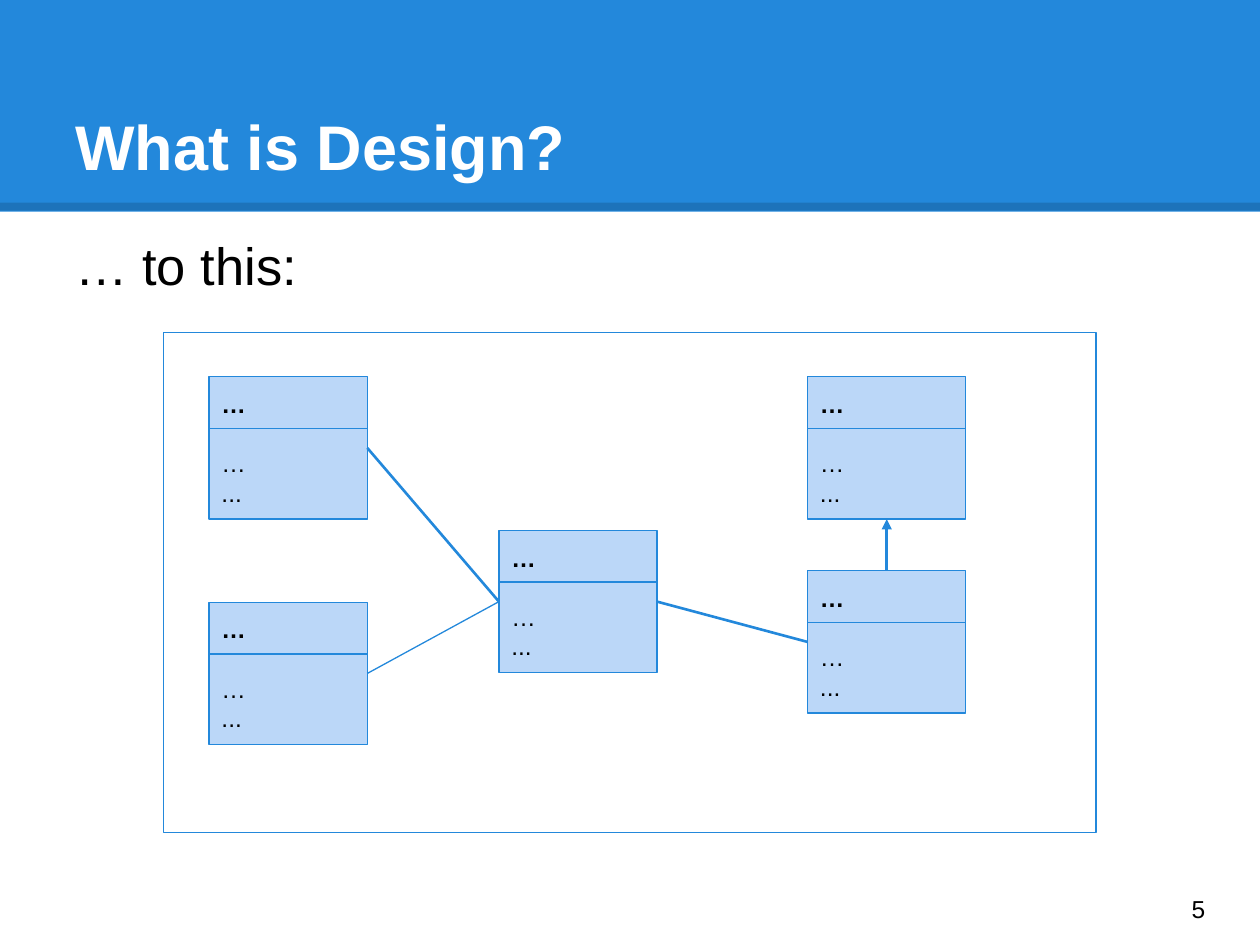
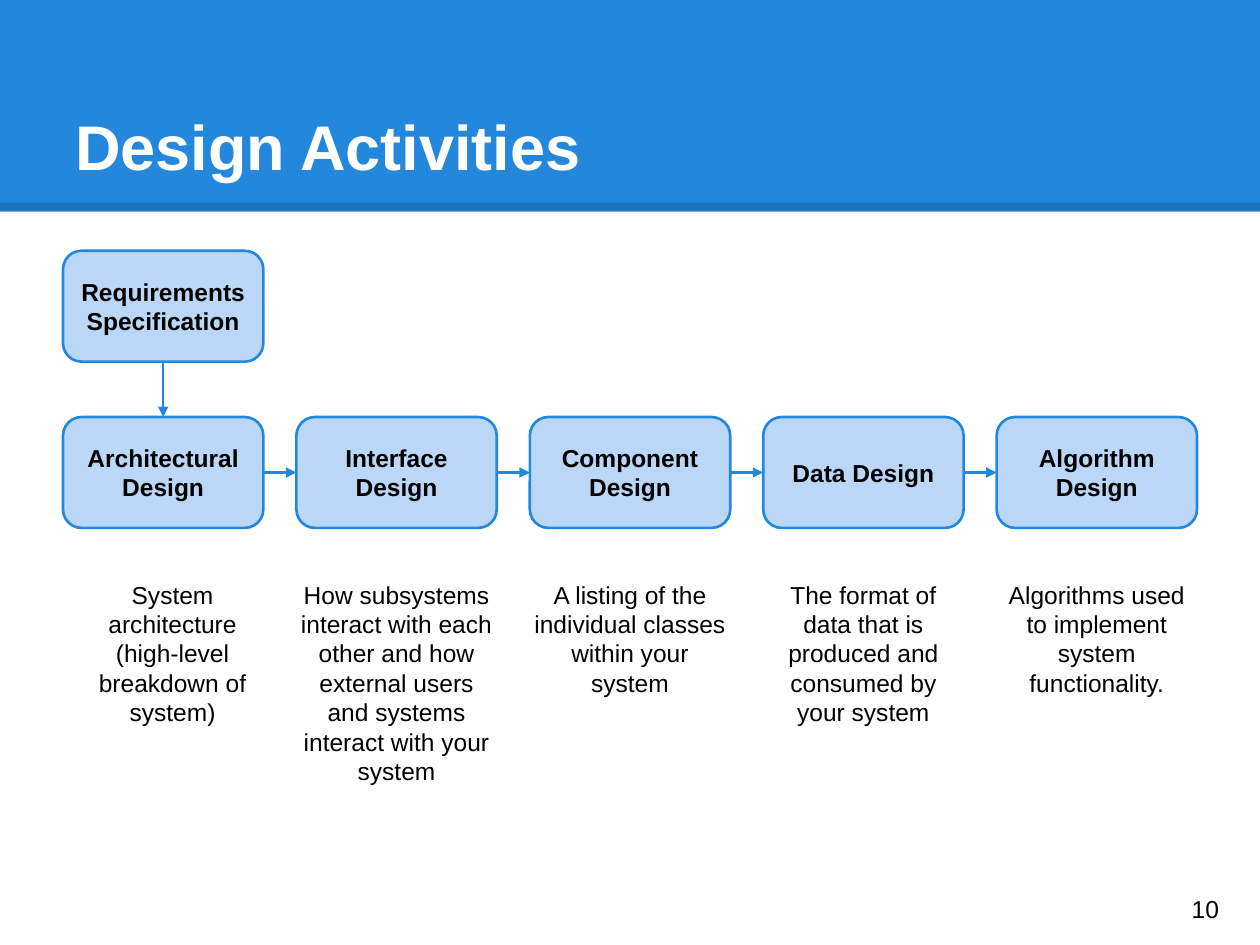
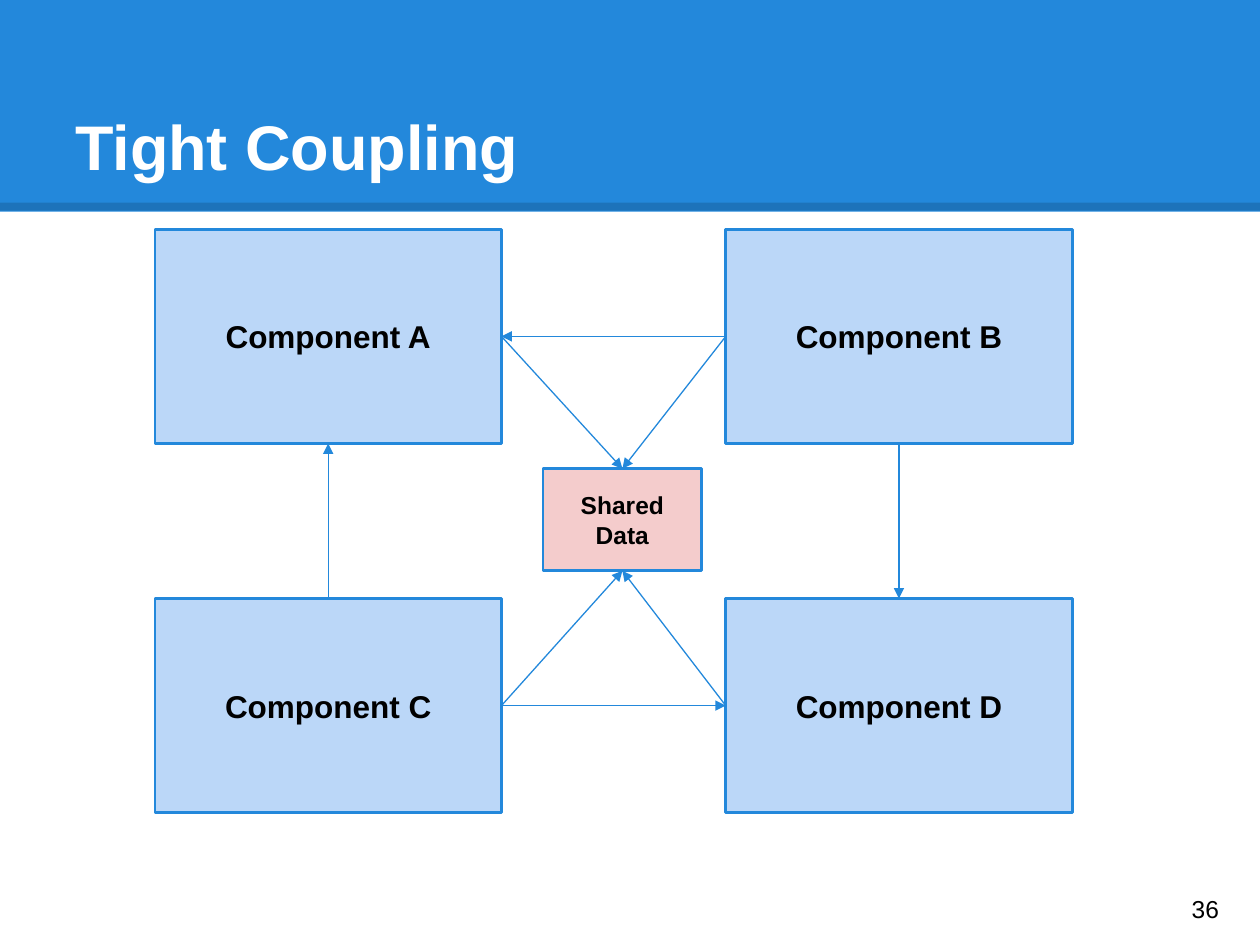
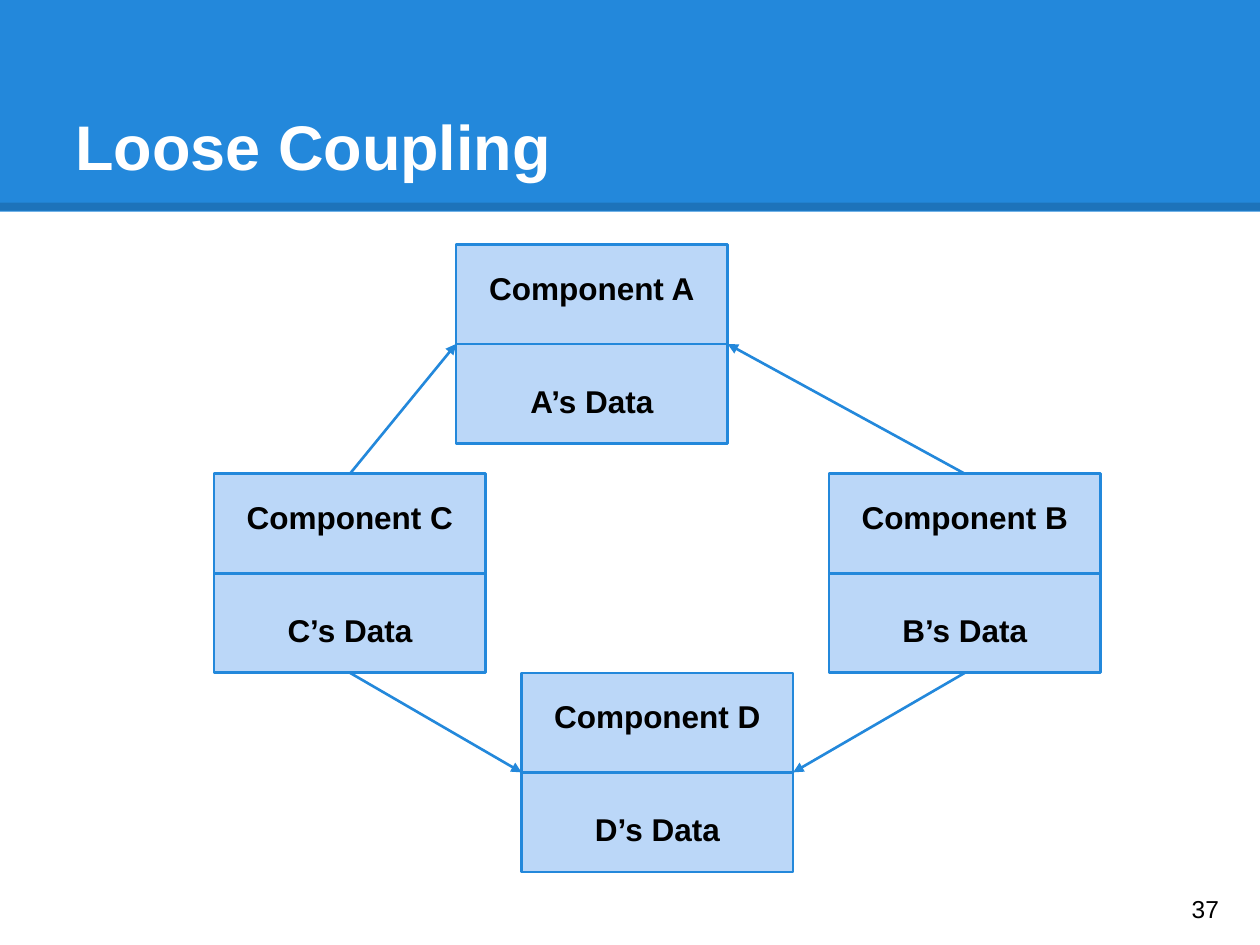
from dataclasses import dataclass

from lxml.etree import SubElement
from pptx import Presentation
from pptx.dml.color import RGBColor
from pptx.enum.shapes import MSO_CONNECTOR, MSO_SHAPE
from pptx.enum.text import MSO_ANCHOR, PP_ALIGN
from pptx.oxml.ns import qn
from pptx.util import Inches, Pt

COLUMNS, ROWS = 100, 75
UNIT = Inches(0.1)
BLUE, PALE, PINK = "2388DB", "BBD7F8", "F4CCCC"
BLACK, WHITE = "000000", "FFFFFF"
FONT = "Arial"
TOP, LEFT, BOTTOM, RIGHT = range(4)
THIN, THICK = 0.75, 1.5


@dataclass
class Box:
    """A region measured in columns and rows of the slide grid."""
    left: float
    top: float
    width: float
    height: float

    def region(self, left, top, width, height):
        """Return a region placed relative to this one."""
        return Box(self.left + left, self.top + top, width, height)

    def lengths(self):
        """Return left, top, width and height as slide lengths."""
        return [round(value * UNIT) for value in
                (self.left, self.top, self.width, self.height)]


PAGE = Box(0, 0, COLUMNS, ROWS)


def color(code):
    """Turn a hex string into a colour."""
    return RGBColor.from_string(code)


def apply(target, values):
    """Set every attribute named in a dict of format values."""
    for name, value in values.items():
        setattr(target, name, value)


def write(shape, paragraphs, align=PP_ALIGN.LEFT, anchor=MSO_ANCHOR.MIDDLE):
    """Fill a shape with (text, size, bold, code, space before) paragraphs."""
    frame = shape.text_frame
    margins = dict.fromkeys(
        ("margin_left", "margin_top", "margin_right", "margin_bottom"), UNIT)
    apply(frame, {"word_wrap": True, "vertical_anchor": anchor, **margins})
    for index, (text, size, bold, code, gap) in enumerate(paragraphs):
        para = frame.add_paragraph() if index else frame.paragraphs[0]
        para.alignment = align
        if gap:
            para.space_before = Pt(gap)
        span = para.add_run()
        span.text = text
        apply(span.font, {"name": FONT, "size": Pt(size), "bold": bold})
        span.font.color.rgb = color(code)


def add_text(page, box, text, size, bold=False, code=BLACK, **layout):
    """Add a text box holding one paragraph."""
    shape = page.shapes.add_textbox(*box.lengths())
    write(shape, [(text, size, bold, code, 0)], **layout)


def add_panel(page, box, fill, line=None, width=THICK, kind=MSO_SHAPE.RECTANGLE):
    """Add a filled shape, outlined when a line colour is given."""
    shape = page.shapes.add_shape(kind, *box.lengths())
    shape.shadow.inherit = False
    shape.fill.solid()
    shape.fill.fore_color.rgb = color(fill)
    if line:
        shape.line.color.rgb = color(line)
        shape.line.width = Pt(width)
    else:
        shape.line.fill.background()
    return shape


def add_label(page, box, text, size, fill=PALE, kind=MSO_SHAPE.RECTANGLE):
    """Add an outlined shape with a bold centred label."""
    shape = add_panel(page, box, fill, BLUE, kind=kind)
    write(shape, [(text, size, True, BLACK, 0)], align=PP_ALIGN.CENTER)
    return shape


def add_line(page, points, width=THICK, code=BLUE, arrow=False, alpha=None):
    """Add a straight line, with an optional arrowhead and opacity percent."""
    ends = [round(value * UNIT) for value in points]
    connector = page.shapes.add_connector(MSO_CONNECTOR.STRAIGHT, *ends)
    connector.line.color.rgb = color(code)
    connector.line.width = Pt(width)
    properties = connector._element.spPr
    outline = properties.find(qn("a:ln"))
    if alpha:
        tint = outline.find(".//" + qn("a:srgbClr"))
        SubElement(tint, qn("a:alpha")).set("val", str(alpha * 1000))
    if arrow:
        SubElement(outline, qn("a:tailEnd")).set("type", "triangle")
    SubElement(properties, qn("a:effectLst"))
    return connector


def join(page, start, start_side, end, end_side, width=THICK, arrow=True):
    """Connect the middles of two shape sides."""
    connector = add_line(page, (0, 0, 0, 0), width, arrow=arrow)
    connector.begin_connect(start, start_side)
    connector.end_connect(end, end_side)


def add_page(deck, title, number):
    """Add a slide with the shared band, title and page number."""
    page = deck.slides.add_slide(deck.slide_layouts[6])
    add_panel(page, PAGE.region(0, 0, COLUMNS, 16.8), BLUE)
    add_line(page, (0, 16.4, COLUMNS, 16.4), 4.5, BLACK, alpha=15)
    add_text(page, PAGE.region(5, 3, 90, 12.5), title, 36, True, WHITE,
             anchor=MSO_ANCHOR.BOTTOM)
    add_text(page, PAGE.region(93.6, 69.3, 6, 5.7), str(number), 14)
    return page


def add_class(page, box):
    """Add a class box with a header rule and elided members."""
    shape = add_panel(page, box, PALE, BLUE, THIN)
    write(shape, [("…", 14, True, BLACK, 0), ("…", 14, False, BLACK, 17),
                  ("...", 14, False, BLACK, 0)])
    rule = box.top + 4.1
    add_line(page, (box.left, rule, box.left + box.width, rule), THIN)
    return shape


def draw_class_diagram(page, box):
    """Draw the framed class diagram."""
    add_panel(page, box, WHITE, BLUE, THIN)
    places = [(3.6, 3.5), (3.6, 21.4), (26.6, 15.7), (51.1, 3.5), (51.1, 18.9)]
    upper, lower, center, parent, child = [
        add_class(page, box.region(*place, 12.55, 11.3)) for place in places]
    join(page, upper, RIGHT, center, LEFT, arrow=False)
    join(page, center, RIGHT, child, LEFT, arrow=False)
    join(page, child, TOP, parent, BOTTOM)
    join(page, center, LEFT, lower, RIGHT, THIN, arrow=False)


def draw_activities(page, box, source, activities):
    """Draw the chain of activities with a caption under each."""
    width, height, caption_width, chain_top = 15.9, 8.8, 17.4, 13.2
    pitch = (box.width - width) / (len(activities) - 1)
    overhang = (caption_width - width) / 2
    rounded = MSO_SHAPE.ROUNDED_RECTANGLE
    previous = add_label(page, box.region(0, 0, width, height), source, 14,
                         kind=rounded)
    for index, (name, caption) in enumerate(activities):
        left = index * pitch
        step = add_label(page, box.region(left, chain_top, width, height), name,
                         14, kind=rounded)
        sides = (RIGHT, LEFT) if index else (BOTTOM, TOP)
        join(page, previous, sides[0], step, sides[1])
        place = box.region(max(0, left - overhang), 25.1, caption_width, 7.8)
        add_text(page, place, caption, 14, align=PP_ALIGN.CENTER,
                 anchor=MSO_ANCHOR.TOP)
        previous = step


def draw_tight_coupling(page, box):
    """Draw four components that all depend on shared data."""
    width, height = 27.5, 17
    components = {}
    for index, letter in enumerate("ABCD"):
        row, column = divmod(index, 2)
        place = box.region(column * (box.width - width),
                           row * (box.height - height), width, height)
        components[letter] = add_label(page, place, f"Component {letter}", 18)
    shared = add_label(page, box.region(30.8, 19, 12.6, 8.1), "Shared Data", 14,
                       PINK)
    for letter, side, target in [("A", RIGHT, TOP), ("B", LEFT, TOP),
                                 ("C", RIGHT, BOTTOM), ("D", LEFT, BOTTOM)]:
        join(page, components[letter], side, shared, target, THIN)
    for start, side, end, target in [("C", TOP, "A", BOTTOM),
                                     ("B", LEFT, "A", RIGHT),
                                     ("C", RIGHT, "D", LEFT),
                                     ("B", BOTTOM, "D", TOP)]:
        join(page, components[start], side, components[end], target, THIN)


def draw_loose_coupling(page, box):
    """Draw four components that each hold their own data."""
    places = {"A": (19.2, 0), "B": (48.8, 18.2), "C": (0, 18.2), "D": (24.4, 34)}
    components = {}
    for letter, place in places.items():
        component = add_panel(page, box.region(*place, 21.55, 15.8), PALE, BLUE)
        write(component, [(f"Component {letter}", 18, True, BLACK, 0),
                          (f"{letter}’s Data", 18, True, BLACK, 43)],
              align=PP_ALIGN.CENTER)
        join(page, component, LEFT, component, RIGHT, arrow=False)
        components[letter] = component
    for letter, side in [("C", LEFT), ("B", RIGHT)]:
        join(page, components[letter], TOP, components["A"], side)
        join(page, components[letter], BOTTOM, components["D"], side)


def main():
    """Build the deck and save it."""
    deck = Presentation()
    apply(deck, {"slide_width": COLUMNS * UNIT, "slide_height": ROWS * UNIT})

    page = add_page(deck, "What is Design?", 5)
    add_text(page, PAGE.region(5, 17.5, 90, 54.3), "… to this:", 30,
             anchor=MSO_ANCHOR.TOP)
    draw_class_diagram(page, PAGE.region(13, 26.4, 74, 39.7))

    page = add_page(deck, "Design Activities", 10)
    draw_activities(page, PAGE.region(5, 19.9, 90, 50), "Requirements Specification", [
        ("Architectural Design",
         "System architecture (high-level breakdown of system)"),
        ("Interface Design",
         "How subsystems interact with each other and how external users "
         "and systems interact with your system"),
        ("Component Design",
         "A listing of the individual classes within your system"),
        ("Data Design",
         "The format of data that is produced and consumed by your system"),
        ("Algorithm Design",
         "Algorithms used to implement system functionality."),
    ])

    page = add_page(deck, "Tight Coupling", 36)
    draw_tight_coupling(page, PAGE.region(12.3, 18.2, 72.8, 46.3))

    page = add_page(deck, "Loose Coupling", 37)
    draw_loose_coupling(page, PAGE.region(17, 19.4, 70.4, 49.8))

    deck.save("out.pptx")


if __name__ == "__main__":
    main()
